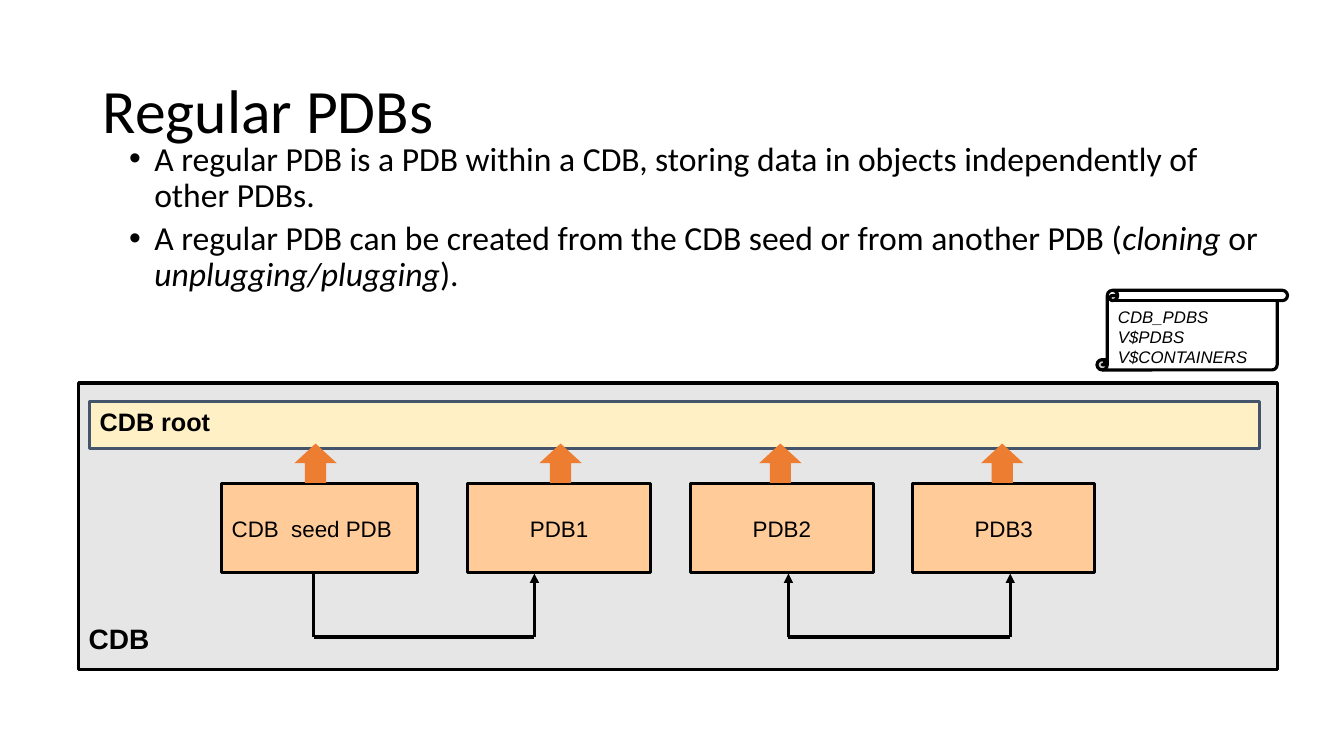
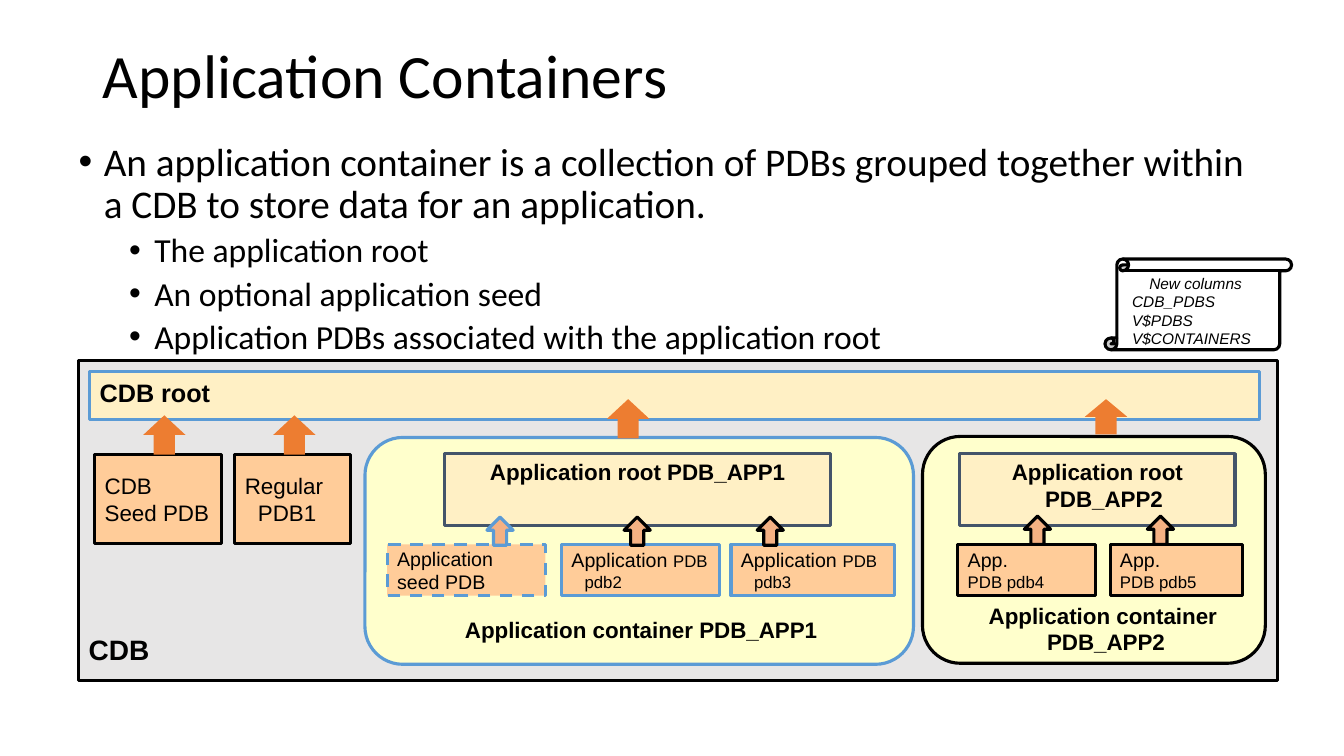
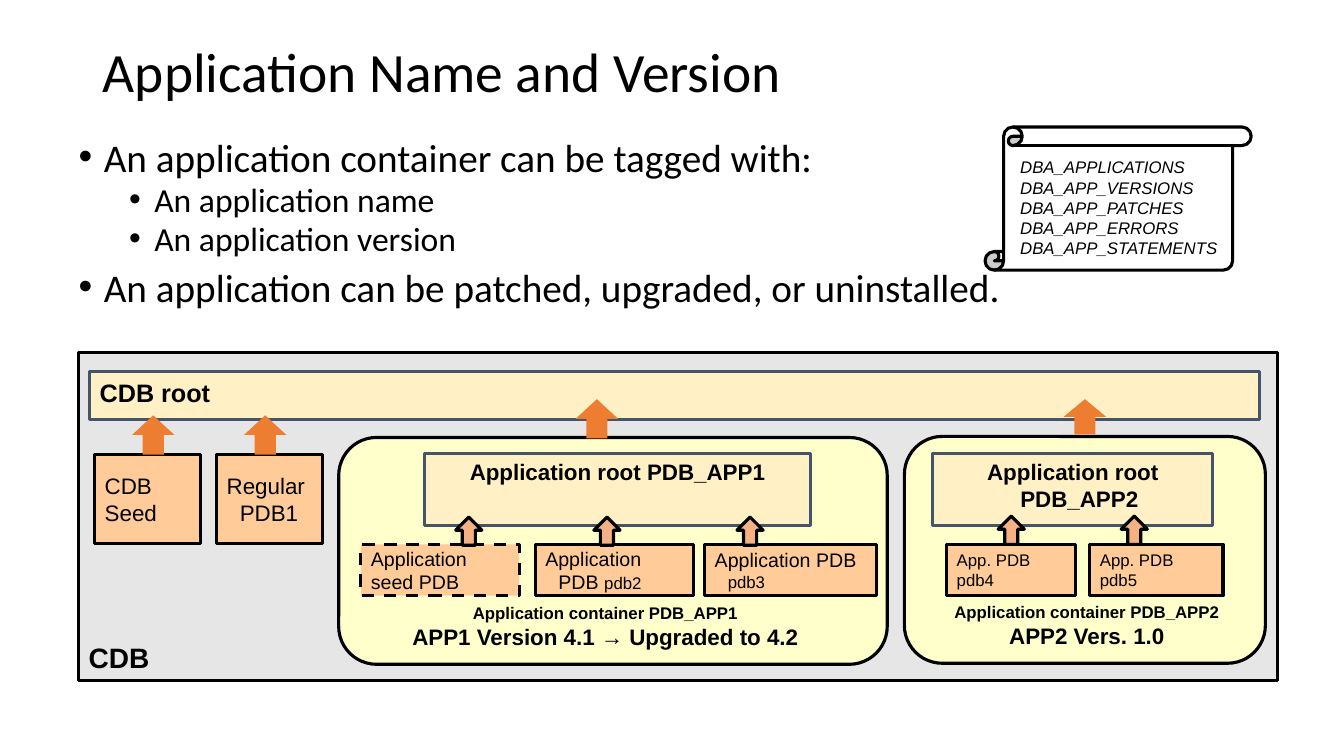
from pptx import Presentation
from pptx.dml.color import RGBColor
from pptx.enum import dml, shapes, text
from pptx.oxml.xmlchemy import OxmlElement
from pptx.util import Inches, Pt

BLACK = RGBColor(0x00, 0x00, 0x00)
WHITE = RGBColor(0xFF, 0xFF, 0xFF)
PANEL_GREY = RGBColor(0xE7, 0xE6, 0xE6)
PDB_ORANGE = RGBColor(0xFF, 0xCC, 0x99)
ROOT_CREAM = RGBColor(0xFF, 0xF0, 0xC5)
CONTAINER_YELLOW = RGBColor(0xFF, 0xFF, 0xCC)
SLATE = RGBColor(0x44, 0x54, 0x6A)
BLUE = RGBColor(0x5B, 0x9B, 0xD5)
ARROW_ORANGE = RGBColor(0xED, 0x7D, 0x31)
ARROW_PEACH = RGBColor(0xF4, 0xB1, 0x83)
HEADING_FONT = "Calibri"
DIAGRAM_FONT = "Arial"
HANG = 0.13
LINE_WIDTH = Pt(2.25)
CENTER = text.PP_ALIGN.CENTER
LEFT = text.PP_ALIGN.LEFT
TOP = text.MSO_ANCHOR.TOP
MIDDLE = text.MSO_ANCHOR.MIDDLE
PRESET = shapes.MSO_SHAPE


def inches(box):
    """Convert a tuple of numbers to lengths."""
    return [Inches(value) for value in box]


def place(holder, box):
    """Move a placeholder to a box."""
    holder.left, holder.top, holder.width, holder.height = inches(box)


def indent(paragraph, margin, first):
    """Set the left margin and first line indent of a paragraph."""
    properties = paragraph._p.get_or_add_pPr()
    properties.set("marL", str(Inches(margin)))
    properties.set("indent", str(Inches(first)))


def add_run(paragraph, wording, size, font, bold=False, italic=False):
    """Add one formatted run."""
    run = paragraph.add_run()
    run.text = wording
    run.font.size = Pt(size)
    run.font.name = font
    run.font.bold = bold
    run.font.italic = italic
    run.font.color.rgb = BLACK


def paragraphs_of(frame, items):
    """Yield a paragraph of the frame with each item."""
    for index, item in enumerate(items):
        yield (frame.add_paragraph() if index else frame.paragraphs[0]), item


def write(frame, lines, size, align=LEFT, hang=0, bold=False, italic=False):
    """Write lines, each a list of (wording, size) runs or one string."""
    for paragraph, line in paragraphs_of(frame, lines):
        paragraph.alignment = align
        indent(paragraph, hang, -hang)
        runs = [(line, size)] if isinstance(line, str) else line
        for wording, run_size in runs:
            add_run(paragraph, wording, run_size, DIAGRAM_FONT, bold, italic)


def add_slide(deck, heading, box, size=44, anchor=MIDDLE):
    """Add a slide with its title."""
    slide = deck.slides.add_slide(deck.slide_layouts[1])
    place(slide.shapes.title, box)
    frame = slide.shapes.title.text_frame
    frame.auto_size = text.MSO_AUTO_SIZE.NONE
    frame.vertical_anchor = anchor
    paragraph = frame.paragraphs[0]
    paragraph.alignment = LEFT
    paragraph.line_spacing = 0.9
    add_run(paragraph, heading, size, HEADING_FONT)
    return slide


def add_bullets(slide, height, items, spacing=0.9):
    """Fill the body with (level, runs) items, every second run in italics."""
    body = slide.placeholders[1]
    place(body, (0.68, 1.36, 11.97, height))
    frame = body.text_frame
    frame.auto_size = text.MSO_AUTO_SIZE.NONE
    for paragraph, (level, runs) in paragraphs_of(frame, items):
        paragraph.level = level
        paragraph.alignment = LEFT
        paragraph.line_spacing = spacing
        paragraph.space_before = Pt((10, 5)[level])
        indent(paragraph, (0.25, 0.75)[level], -0.25)
        bullet = OxmlElement("a:buChar")
        bullet.set("char", "•")
        paragraph._p.get_or_add_pPr().append(bullet)
        for index, wording in enumerate(runs):
            add_run(paragraph, wording, (28, 24)[level], HEADING_FONT,
                    italic=index % 2 == 1)


def add_block(slide, box, fill, outline=BLACK, preset=PRESET.RECTANGLE):
    """Add a filled shape, outlined unless outline is None."""
    block = slide.shapes.add_shape(preset, *inches(box))
    block.shadow.inherit = False
    block.fill.solid()
    block.fill.fore_color.rgb = fill
    if outline is None:
        block.line.fill.background()
    else:
        block.line.color.rgb = outline
        block.line.width = LINE_WIDTH
    return block


def add_box(slide, box, fill, lines, size, outline=BLACK, anchor=MIDDLE, **style):
    """Add a rectangle with text."""
    block = add_block(slide, box, fill, outline)
    block.text_frame.word_wrap = True
    block.text_frame.vertical_anchor = anchor
    write(block.text_frame, lines, size, **style)
    return block


def add_pdb(slide, box, lines, size=16, outline=BLACK, hang=HANG, align=LEFT):
    """Add a pluggable database box."""
    return add_box(slide, box, PDB_ORANGE, lines, size, outline,
                   hang=hang, align=align)


def add_seed(slide, left, outline):
    """Add the dashed application seed."""
    seed = add_pdb(slide, (left, 5.4, 1.57, 0.51), ["Application seed PDB"],
                   14, outline, hang=0)
    seed.line.dash_style = dml.MSO_LINE.DASH


def add_label(slide, box, lines, size, wrap=False, **style):
    """Add a text box and return its frame."""
    frame = slide.shapes.add_textbox(*inches(box)).text_frame
    frame.word_wrap = wrap
    frame.auto_size = text.MSO_AUTO_SIZE.SHAPE_TO_FIT_TEXT
    write(frame, lines, size, **style)
    return frame


def add_panel(slide, top, height, root_top, label_top, root_outline=SLATE):
    """Add the CDB panel with its name and root bar."""
    add_block(slide, (0.78, top, 11.89, height), PANEL_GREY)
    add_label(slide, (0.78, label_top, 0.81, 0.44), ["CDB"], 20, bold=True)
    add_box(slide, (0.89, root_top, 11.6, 0.47), ROOT_CREAM, ["CDB root"], 18,
            root_outline, TOP, hang=HANG, bold=True)


def add_container(slide, box, root_left, root_width, name, outline=BLACK):
    """Add an application container with its root."""
    add_block(slide, box, CONTAINER_YELLOW, outline, PRESET.ROUNDED_RECTANGLE)
    add_box(slide, (root_left, 4.5, root_width, 0.71), ROOT_CREAM,
            [f"Application root {name}"], 16, SLATE, TOP,
            align=CENTER, hang=HANG, bold=True)


def add_scroll(slide, box, label_box, views, size=12):
    """Add a scroll that lists dictionary views."""
    scroll = add_block(slide, box, WHITE, preset=PRESET.VERTICAL_SCROLL)
    scroll.adjustments[0] = 0.13
    return add_label(slide, label_box, views, size, wrap=True, italic=True)


def add_root_arrows(slide, lefts, top, height=0.39):
    """Add solid arrows up to the CDB root."""
    for left in lefts:
        add_block(slide, (left, top, 0.42, height), ARROW_ORANGE, None,
                  PRESET.UP_ARROW)


def add_app_arrows(slide, lefts, top, outline=BLACK):
    """Add outlined arrows up to an application root."""
    for left in lefts:
        add_block(slide, (left, top, 0.26, 0.28), ARROW_PEACH, outline,
                  PRESET.UP_ARROW)


def add_line(slide, start, end, arrow=False):
    """Add a straight line, with an arrowhead at its end if asked."""
    line = slide.shapes.add_connector(shapes.MSO_CONNECTOR.STRAIGHT,
                                      *inches(start + end))
    line.line.color.rgb = BLACK
    line.line.width = LINE_WIDTH
    if arrow:
        head = OxmlElement("a:tailEnd")
        head.set("type", "triangle")
        line.line._get_or_add_ln().append(head)
    line._element.spPr.append(OxmlElement("a:effectLst"))


def add_clone_route(slide, left, right, two_way):
    """Link two databases with a route below them."""
    top, bottom = 5.69, 6.32
    add_line(slide, (left, bottom), (left, top), two_way)
    add_line(slide, (left, bottom), (right, bottom))
    add_line(slide, (right, bottom), (right, top), True)


def build_regular_pdbs(deck):
    """Build the slide on regular PDBs."""
    slide = add_slide(deck, "Regular PDBs", (0.92, 0.4, 11.5, 1.45))
    add_bullets(slide, 2.06, [
        (1, ["A regular PDB is a PDB within a CDB, storing data in objects "
             "independently of other PDBs."]),
        (1, ["A regular PDB can be created from the CDB seed or from another PDB (",
             "cloning", " or ", "unplugging/plugging", ")."]),
    ])
    add_panel(slide, 3.8, 2.84, 3.98, 6.12)
    add_pdb(slide, (2.2, 4.8, 1.94, 0.88), ["CDB  seed PDB"], hang=0)
    for number, left in enumerate((4.64, 6.85, 9.05), 1):
        add_pdb(slide, (left, 4.8, 1.81, 0.88), [f"PDB{number}"], align=CENTER)
    add_scroll(slide, (10.88, 2.88, 1.89, 0.79), (10.99, 2.99, 1.74, 0.71),
               ["CDB_PDBS", "V$PDBS", "V$CONTAINERS"])
    add_root_arrows(slide, (2.92, 5.35, 7.53, 9.73), 4.4)
    add_clone_route(slide, 3.11, 5.3, False)
    add_clone_route(slide, 7.82, 10.02, True)


def build_containers(deck):
    """Build the slide on application containers."""
    slide = add_slide(deck, "Application Containers", (0.92, 0.4, 11.5, 1.45),
                      anchor=TOP)
    add_bullets(slide, 2.66, [
        (0, ["An application container is a collection of PDBs grouped together "
             "within a CDB to store data for an application."]),
        (1, ["The application root"]),
        (1, ["An optional application seed"]),
        (1, ["Application PDBs associated with the application root"]),
    ])
    add_panel(slide, 3.58, 3.17, 3.69, 6.23, BLUE)
    add_pdb(slide, (0.94, 4.51, 1.26, 0.88), ["CDB  Seed PDB"], hang=0)
    add_pdb(slide, (2.33, 4.51, 1.15, 0.88), ["Regular PDB1"])
    add_container(slide, (3.62, 4.34, 5.44, 2.25), 4.41, 3.83, "PDB_APP1", BLUE)
    add_seed(slide, 3.84, BLUE)
    for left, width, name in ((5.57, 1.57, "pdb2"), (7.25, 1.62, "pdb3")):
        add_pdb(slide, (left, 5.4, width, 0.51),
                [[("Application ", 14), (f"PDB {name}", 12)]], outline=BLUE)
    add_label(slide, (4.49, 6.06, 3.74, 0.37), ["Application container PDB_APP1"],
              16, align=CENTER, bold=True)
    add_container(slide, (9.15, 4.33, 3.4, 2.25), 9.52, 2.73, "PDB_APP2")
    for left, width, name in ((9.5, 1.37, "pdb4"), (11.01, 1.31, "pdb5")):
        add_pdb(slide, (left, 5.4, width, 0.51),
                [[("App.", 14)], [(f"PDB {name}", 12)]])
    add_label(slide, (9.69, 5.92, 2.56, 0.64),
              ["Application container ", "PDB_APP2"], 16, align=CENTER, bold=True)
    views = add_scroll(slide, (10.96, 2.57, 1.85, 0.9), (11.13, 2.67, 1.52, 0.84),
                       ["New columns", "CDB_PDBS", "V$PDBS", "V$CONTAINERS"], 11)
    indent(views.paragraphs[0], 0.17, 0)
    add_root_arrows(slide, (1.42, 2.71), 4.12)
    add_root_arrows(slide, (6.02,), 3.96)
    add_root_arrows(slide, (10.76,), 3.96, 0.35)
    add_app_arrows(slide, (4.83,), 5.13, BLUE)
    add_app_arrows(slide, (6.19, 7.51), 5.13)
    add_app_arrows(slide, (10.16, 11.38), 5.12)


def build_versions(deck):
    """Build the slide on application names and versions."""
    slide = add_slide(deck, "Application Name and Version",
                      (0.92, 0.4, 10.24, 0.68), 39.6)
    add_bullets(slide, 1.83, [
        (0, ["An application container can be tagged with:"]),
        (1, ["An application name"]),
        (1, ["An application version"]),
        (0, ["An application can be patched, upgraded, or uninstalled."]),
    ], 0.8)
    add_panel(slide, 3.5, 3.25, 3.69, 6.31)
    add_pdb(slide, (0.94, 4.51, 1.05, 0.88), ["CDB  Seed"], hang=0)
    add_pdb(slide, (2.15, 4.51, 1.05, 0.88), ["Regular PDB1"])
    add_container(slide, (3.36, 4.34, 5.44, 2.25), 4.21, 3.83, "PDB_APP1")
    add_seed(slide, 3.58, BLACK)
    for left, width, name in ((5.31, 1.57, "pdb2"), (6.99, 1.7, "pdb3")):
        add_pdb(slide, (left, 5.4, width, 0.51),
                [[("Application PDB ", 14), (name, 12)]])
    add_container(slide, (8.97, 4.33, 3.58, 2.25), 9.25, 2.78, "PDB_APP2")
    for left, width, name in ((9.39, 1.28, "pdb4"), (10.81, 1.32, "pdb5")):
        add_pdb(slide, (left, 5.4, width, 0.51), ["App. PDB", name], 12)
    for left, top, width, name, version in (
            (3.97, 5.93, 4.07, "PDB_APP1", "APP1 Version 4.1 → Upgraded to 4.2"),
            (9.35, 5.92, 2.86, "PDB_APP2", "APP2 Vers. 1.0")):
        add_label(slide, (left, top, width, 0.57),
                  [[(f"Application container {name}", 12)], version], 16,
                  align=CENTER, bold=True)
    add_scroll(slide, (9.77, 1.26, 2.64, 1.42), (10.02, 1.51, 2.23, 1.11),
               ["DBA_APPLICATIONS", "DBA_APP_VERSIONS", "DBA_APP_PATCHES",
                "DBA_APP_ERRORS", "DBA_APP_STATEMENTS"])
    add_root_arrows(slide, (1.31, 2.42), 4.12)
    add_root_arrows(slide, (5.71,), 3.96)
    add_root_arrows(slide, (10.55,), 3.96, 0.35)
    add_app_arrows(slide, (4.52, 5.89, 7.31), 5.13)
    add_app_arrows(slide, (9.9, 11.12), 5.12)


def main():
    """Build and save the deck."""
    deck = Presentation()
    deck.slide_width = Inches(13.33)
    deck.slide_height = Inches(7.5)
    build_regular_pdbs(deck)
    build_containers(deck)
    build_versions(deck)
    deck.save("out.pptx")


if __name__ == "__main__":
    main()
